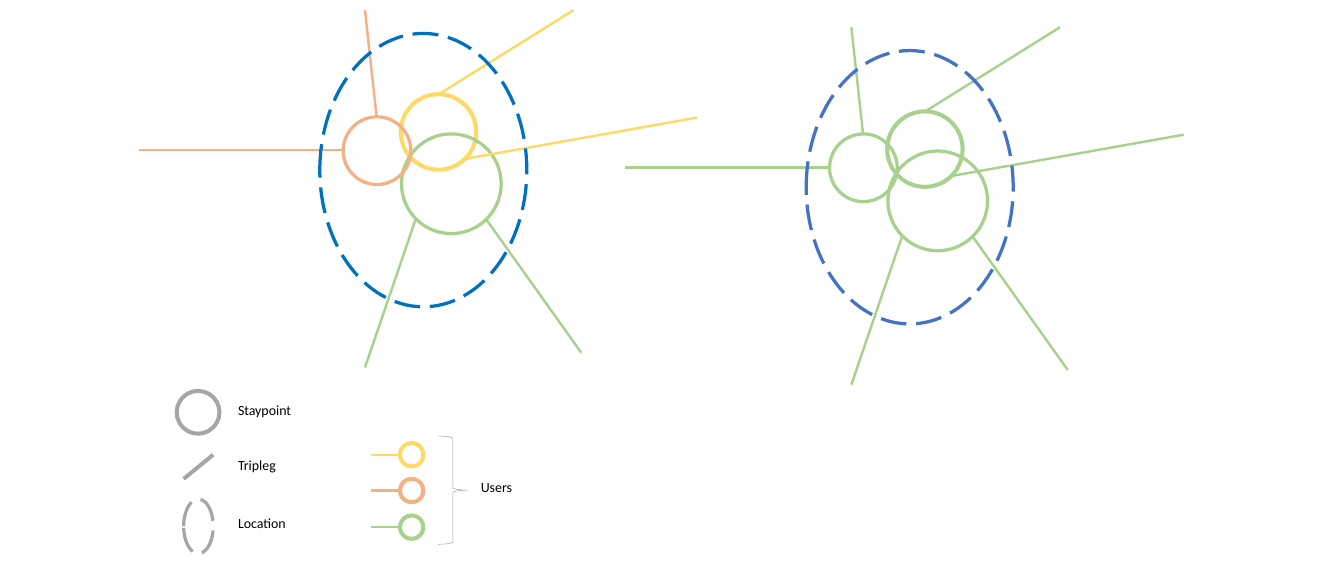
from pptx import Presentation
from pptx.dml.color import RGBColor
from pptx.enum.dml import MSO_LINE
from pptx.enum.shapes import MSO_CONNECTOR, MSO_SHAPE
from pptx.oxml.ns import qn
from pptx.util import Inches, Pt
from lxml.etree import SubElement

GOLD, GREEN, PEACH, GRAY = "FFD966", "A9D18E", "F4B183", "A6A6A6"
BLUE, INDIGO = "0070C0", "4472C4"


def paint(line, color, width):
    line.color.rgb = RGBColor.from_string(color)
    line.width = Pt(width)


def outline(slide, kind, left, top, width, height, color, weight):
    shape = slide.shapes.add_shape(
        kind, Inches(left), Inches(top), Inches(width), Inches(height))
    shape.shadow.inherit = False
    shape.fill.background()
    paint(shape.line, color, weight)
    return shape


def circle(slide, left, top, size, color, weight):
    outline(slide, MSO_SHAPE.OVAL, left, top, size, size, color, weight)


def dashed(slide, left, top, width, height, color):
    oval = outline(slide, MSO_SHAPE.OVAL, left, top, width, height, color, 3)
    oval.line.dash_style = MSO_LINE.LONG_DASH


def leg(slide, x1, y1, x2, y2, color, weight=2.25):
    line = slide.shapes.add_connector(
        MSO_CONNECTOR.STRAIGHT, Inches(x1), Inches(y1), Inches(x2), Inches(y2))
    paint(line.line, color, weight)
    SubElement(line._element.spPr, qn("a:effectLst"))


def label(slide, text, left, top):
    box = slide.shapes.add_textbox(
        Inches(left), Inches(top), Inches(1.25), Inches(0.32))
    box.text_frame.word_wrap = True
    para = box.text_frame.paragraphs[0]
    para.text = text
    para.font.name = "Calibri"
    para.font.size = Pt(12.9)
    para.font.color.rgb = RGBColor.from_string("000000")


def cluster(slide, dx, dy, gold, green, peach, ring):
    for left, top, size, color, weight in (
            (5.15, 1.21, 0.97, gold, 3.75),
            (5.16, 1.72, 1.28, green, 3),
            (4.41, 1.5, 0.87, peach, 3)):
        circle(slide, left + dx, top + dy, size, color, weight)
    for x1, y1, x2, y2, color in (
            (1.78, 1.93, 4.41, 1.93, peach),
            (4.69, 0.13, 4.84, 1.5, peach),
            (5.98, 2.04, 8.96, 1.51, gold),
            (5.64, 1.21, 7.37, 0.13, gold),
            (6.25, 2.82, 7.47, 4.53, green),
            (5.34, 2.82, 4.69, 4.72, green)):
        leg(slide, x1 + dx, y1 + dy, x2 + dx, y2 + dy, color)
    dashed(slide, 4.11 + dx, 0.43 + dy, 2.66, 3.51, ring)


def legend(slide):
    circle(slide, 2.27, 5.02, 0.55, GRAY, 3.75)
    leg(slide, 2.74, 5.84, 2.36, 6.15, GRAY, 3.75)
    dashed(slide, 2.36, 6.41, 0.38, 0.7, GRAY)
    for text, top in (("Staypoint", 5.11), ("Tripleg", 5.81), ("Location", 6.56)):
        label(slide, text, 2.96, top)
    for mid, color in ((5.84, GOLD), (6.3, PEACH), (6.77, GREEN)):
        circle(slide, 5.14, mid - 0.15, 0.3, color, 3.75)
        leg(slide, 4.77, mid, 5.14, mid, color)
    outline(slide, MSO_SHAPE.RIGHT_BRACE, 5.63, 5.6, 0.38, 1.39, GRAY, 0.5)
    label(slide, "Users", 6.08, 6.09)


def main():
    deck = Presentation()
    deck.slide_width = Inches(17.27)
    deck.slide_height = Inches(7.5)
    slide = deck.slides.add_slide(deck.slide_layouts[6])
    cluster(slide, 0, 0, GOLD, GREEN, PEACH, BLUE)
    legend(slide)
    cluster(slide, 6.25, 0.22, GREEN, GREEN, GREEN, INDIGO)
    deck.save("out.pptx")


if __name__ == "__main__":
    main()
